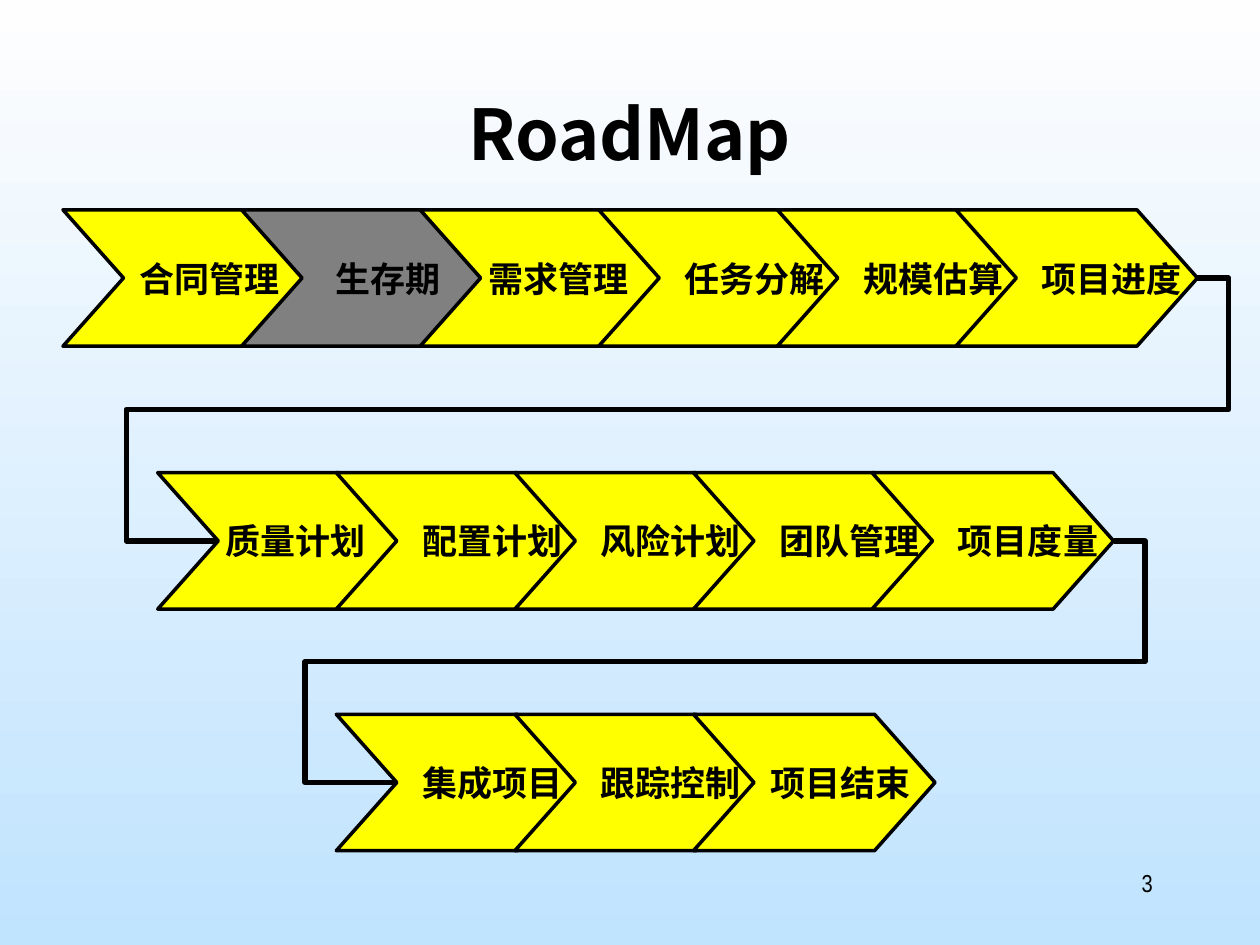
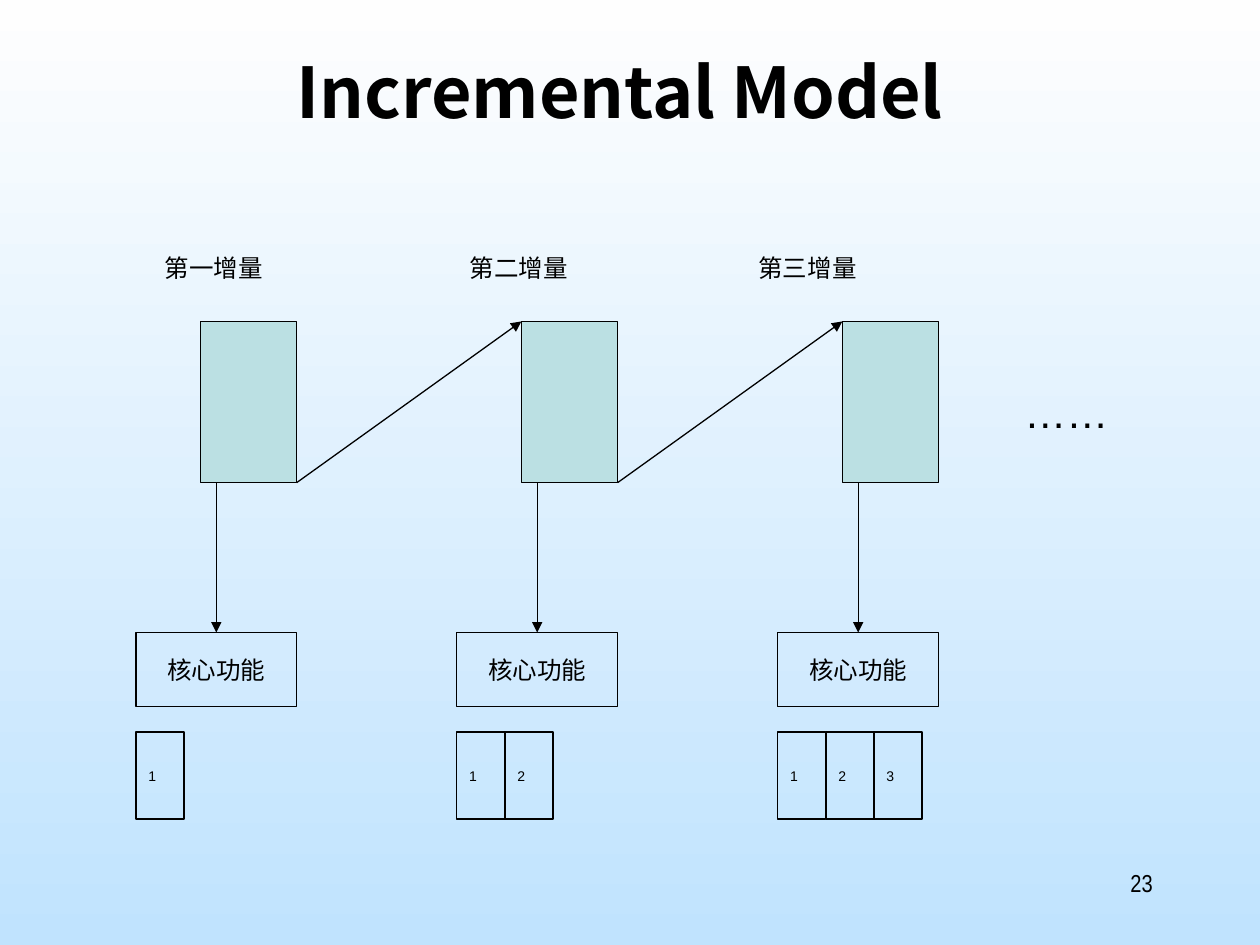
from dataclasses import dataclass

from lxml import etree
from pptx import Presentation
from pptx.dml.color import RGBColor
from pptx.enum.shapes import MSO_CONNECTOR, MSO_SHAPE
from pptx.enum.text import MSO_ANCHOR, PP_ALIGN
from pptx.oxml.ns import qn
from pptx.util import Cm, Pt

LEFT, CENTER, RIGHT = PP_ALIGN.LEFT, PP_ALIGN.CENTER, PP_ALIGN.RIGHT
TOP, MIDDLE = MSO_ANCHOR.TOP, MSO_ANCHOR.MIDDLE
STRAIGHT, ELBOW = MSO_CONNECTOR.STRAIGHT, MSO_CONNECTOR.ELBOW
RECT = MSO_SHAPE.RECTANGLE


@dataclass(frozen=True)
class Theme:
    ink: str = "000000"
    sky_top: str = "FEFEFE"
    sky_bottom: str = "C0E3FE"
    step: str = "FFFF00"
    current: str = "808080"
    block: str = "BBE0E3"
    title_font: str = "Noto Sans CJK SC"
    cjk_font: str = "Noto Sans CJK SC"
    step_font: str = "Arial Narrow"
    body_font: str = "Arial"
    title_size: int = 40
    dots_size: int = 24
    step_size: int = 20
    body_size: int = 14
    cell_size: int = 8
    thin: float = 0.75
    outline: float = 2
    route: float = 3


THEME = Theme()

STEP_W, STEP_H, STEP_NOTCH, STEP_PITCH = 4.87, 2.75, 1.22, 3.6
LANE = 0.63
WIDE, MEDIUM, NARROW = 1.67, 1.3, 0.95
ROADMAP = [
    (1.27, 4.23, [("合同管理", MEDIUM), ("生存期", MEDIUM), ("需求管理", NARROW),
                  ("任务分解", WIDE), ("规模估算", WIDE), ("项目进度", WIDE)]),
    (3.18, 9.53, [("质量计划", NARROW), ("配置计划", WIDE), ("风险计划", WIDE),
                  ("团队管理", WIDE), ("项目度量", WIDE)]),
    (6.78, 14.4, [("集成项目", WIDE), ("跟踪控制", WIDE), ("项目结束", MEDIUM)]),
]
CURRENT_STEP = "生存期"

INCREMENTS = [("第一增量", 3.07), ("第二增量", 9.22), ("第三增量", 15.04)]
INCREMENT_LEFT, INCREMENT_PITCH = 2.74, 6.47
CORE_TOP, CORE_W, CORE_H = 12.75, 3.24, 1.5
BLOCK_TOP, BLOCK_W, BLOCK_H = 6.48, 1.94, 3.25
CELL_TOP, CELL_W, CELL_H = 14.76, 0.97, 1.75


def rgb(color):
    return RGBColor.from_string(color)


def set_text(s, text, size, font, align=LEFT, anchor=TOP, wrap=True, bold=False,
             inset=0.25):
    tf = s.text_frame
    frame = {"word_wrap": wrap, "vertical_anchor": anchor,
             "margin_left": Cm(inset), "margin_right": Cm(0.25),
             "margin_top": Cm(0.13), "margin_bottom": Cm(0.13)}
    for name, value in frame.items():
        setattr(tf, name, value)
    p = tf.paragraphs[0]
    p.alignment = align
    r = p.add_run()
    r.text = text
    for name, value in {"name": font, "size": Pt(size), "bold": bold}.items():
        setattr(r.font, name, value)
    r.font.color.rgb = rgb(THEME.ink)
    ea = etree.SubElement(r.font._element, qn("a:ea"))
    ea.set("typeface", THEME.cjk_font)


def set_line(s, width):
    s.line.color.rgb = rgb(THEME.ink)
    s.line.width = Pt(width)


def style_shape(s, fill, width):
    s.shadow.inherit = False
    if fill:
        s.fill.solid()
        s.fill.fore_color.rgb = rgb(fill)
    else:
        s.fill.background()
    set_line(s, width)


def add_text(slide, box, text, size, font, **format_values):
    s = slide.shapes.add_textbox(*map(Cm, box))
    set_text(s, text, size, font, **format_values)


def add_box(slide, box, fill=None):
    s = slide.shapes.add_shape(RECT, *map(Cm, box))
    style_shape(s, fill, THEME.thin)
    return s


def add_step(slide, left, top, text, inset):
    right, shoulder = left + STEP_W, left + STEP_W - STEP_NOTCH
    middle, bottom = top + STEP_H / 2, top + STEP_H
    outline = [(shoulder, top), (right, middle), (shoulder, bottom),
               (left, bottom), (left + STEP_NOTCH, middle)]
    builder = slide.shapes.build_freeform(Cm(left), Cm(top))
    builder.add_line_segments([(Cm(x), Cm(y)) for x, y in outline], close=True)
    s = builder.convert_to_shape()
    fill = THEME.current if text == CURRENT_STEP else THEME.step
    style_shape(s, fill, THEME.outline)
    set_text(s, text, THEME.step_size, THEME.step_font, align=CENTER,
             anchor=MIDDLE, wrap=False, bold=True, inset=inset)


def add_line(slide, kind, start, end, width):
    s = slide.shapes.add_connector(kind, *map(Cm, (*start, *end)))
    set_line(s, width)
    etree.SubElement(s._element.spPr, qn("a:effectLst"))
    return s


def add_arrow(slide, start, end):
    s = add_line(slide, STRAIGHT, start, end, THEME.thin)
    ln = s._element.spPr.find(qn("a:ln"))
    etree.SubElement(ln, qn("a:tailEnd")).set("type", "triangle")


def add_route(slide, start, end):
    s = add_line(slide, ELBOW, start, end, THEME.route)
    geom = s._element.spPr.find(qn("a:prstGeom"))
    geom.set("prst", "bentConnector5")
    guides = geom.find(qn("a:avLst"))
    span = start[0] - end[0]
    bends = (-LANE / span, 0.5, 1 + (LANE + STEP_NOTCH) / span)
    for i, bend in enumerate(bends, 1):
        gd = etree.SubElement(guides, qn("a:gd"))
        gd.set("name", f"adj{i}")
        gd.set("fmla", f"val {round(bend * 100000)}")


def add_slide(prs, title, left, top, number):
    slide = prs.slides.add_slide(prs.slide_layouts[6])
    fill = slide.background.fill
    fill.gradient()
    fill.gradient_angle = 270
    for stop, color in zip(fill.gradient_stops, (THEME.sky_top, THEME.sky_bottom)):
        stop.color.rgb = rgb(color)
    add_text(slide, (left, top, 21.59, 3.18), title, THEME.title_size,
             THEME.title_font, align=CENTER, bold=True)
    add_text(slide, (18.2, 17.36, 5.29, 1.27), str(number), THEME.body_size,
             THEME.step_font, align=RIGHT)
    return slide


def build_roadmap(prs):
    slide = add_slide(prs, "RoadMap", 1.9, 1.7, 3)
    for left, top, steps in ROADMAP:
        for i, (text, inset) in enumerate(steps):
            add_step(slide, left + i * STEP_PITCH, top, text, inset)
    for (left, top, steps), (next_left, next_top, _) in zip(ROADMAP, ROADMAP[1:]):
        tip = left + (len(steps) - 1) * STEP_PITCH + STEP_W
        add_route(slide, (tip, top + STEP_H / 2),
                  (next_left + STEP_NOTCH, next_top + STEP_H / 2))


def build_increments(prs):
    slide = add_slide(prs, "Incremental Model", 1.7, 0.85, 23)
    block_bottom = BLOCK_TOP + BLOCK_H
    for i, (label, label_left) in enumerate(INCREMENTS):
        left = INCREMENT_LEFT + i * INCREMENT_PITCH
        right = left + CORE_W
        add_text(slide, (label_left, 4.98, 3.89, 0.89), label,
                 THEME.body_size, THEME.body_font)
        add_box(slide, (right - BLOCK_W, BLOCK_TOP, BLOCK_W, BLOCK_H), THEME.block)
        core = add_box(slide, (left, CORE_TOP, CORE_W, CORE_H))
        set_text(core, "核心功能", THEME.body_size, THEME.body_font,
                 align=CENTER, anchor=MIDDLE)
        for n in range(i + 1):
            cell = add_box(slide, (left + n * CELL_W, CELL_TOP, CELL_W, CELL_H))
            set_text(cell, str(n + 1), THEME.cell_size, THEME.body_font,
                     anchor=MIDDLE)
        middle = left + CORE_W / 2
        add_arrow(slide, (middle, block_bottom), (middle, CORE_TOP))
        if i < len(INCREMENTS) - 1:
            next_block = right + INCREMENT_PITCH - BLOCK_W
            add_arrow(slide, (right, block_bottom), (next_block, BLOCK_TOP))
    add_text(slide, (20.4, 7.67, 2.69, 1.32), "……", THEME.dots_size,
             THEME.body_font)


def main():
    prs = Presentation()
    prs.slide_width, prs.slide_height = Cm(25.4), Cm(19.05)
    build_roadmap(prs)
    build_increments(prs)
    prs.save("out.pptx")


if __name__ == "__main__":
    main()
